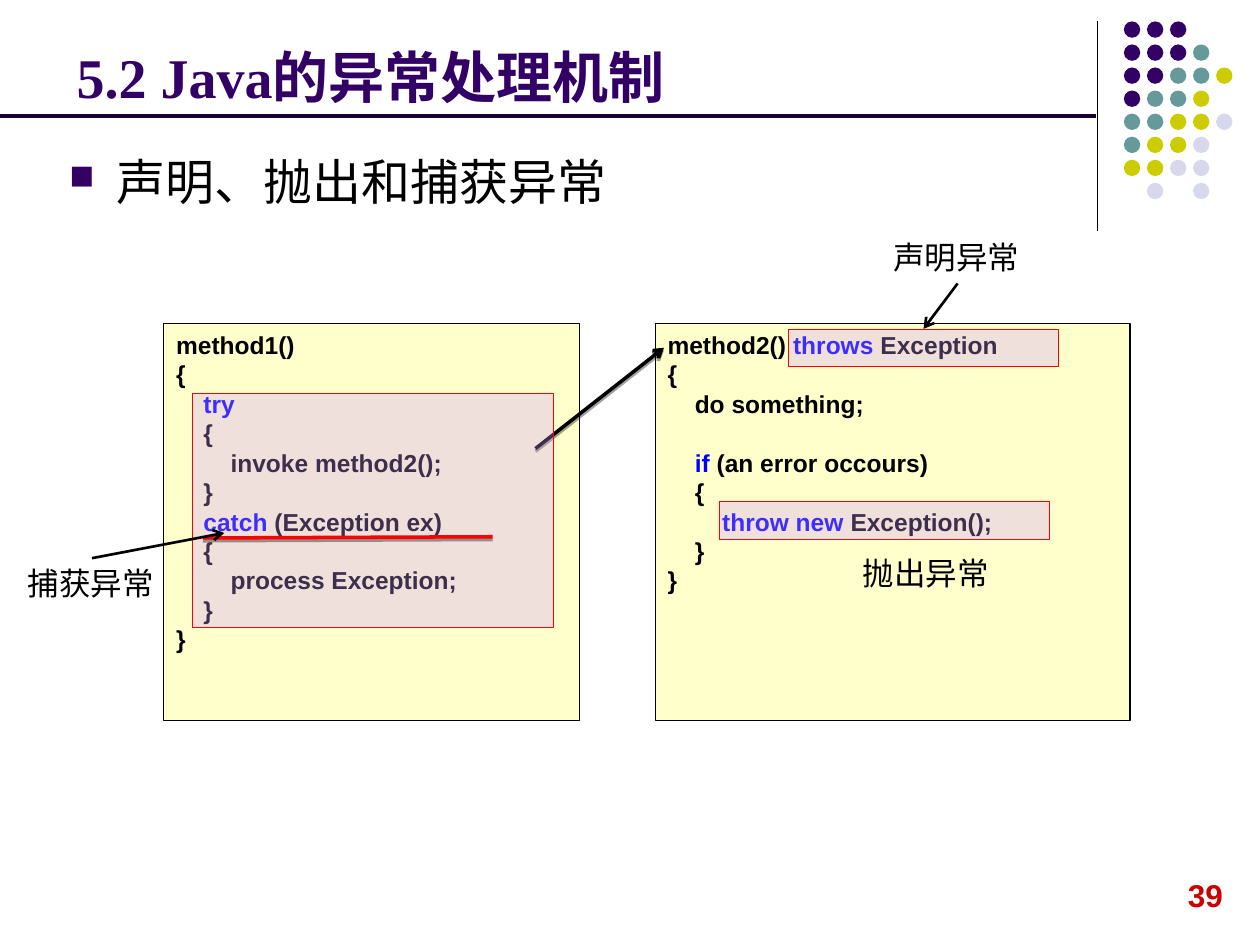
from lxml import etree
from pptx import Presentation
from pptx.dml.color import RGBColor
from pptx.enum.shapes import MSO_CONNECTOR, MSO_SHAPE
from pptx.enum.text import MSO_ANCHOR, PP_ALIGN
from pptx.oxml.ns import qn
from pptx.util import Inches, Pt

LINE = MSO_CONNECTOR.STRAIGHT
RECT = MSO_SHAPE.RECTANGLE
OVAL = MSO_SHAPE.OVAL
TOP, BOTTOM = MSO_ANCHOR.TOP, MSO_ANCHOR.BOTTOM
LEFT = PP_ALIGN.LEFT

COLORS = {
    "purple": "330066", "teal": "669999", "olive": "CCCC00", "lilac": "D8D8EC",
    "rule": "190033", "black": "000000", "red": "FF0000", "number": "CC0000",
    "keyword": "0000FF", "code": "FFFFCC", "highlight": "CD9BFF",
}
DOT_ROWS = ["PPP", "PPPT", "PPTTO", "PTTO", "TTOOL", "TOOL", "OOLL", " L L"]
DOT_COLORS = {"P": "purple", "T": "teal", "O": "olive", "L": "lilac"}

TITLE = {"size": Pt(32), "name": "Times New Roman", "bold": True}
TOPIC = {"size": Pt(28), "name": "Times New Roman"}
LABEL = {"size": Pt(18), "name": "Noto Sans CJK SC"}
NUMBER = {"size": Pt(18), "name": "Arial", "bold": True}
CODE = {"size": Pt(14), "name": "Arial", "bold": True}
CODE_PITCH = Pt(16.8)

METHOD1 = [
    ["method1()"], ["{"], ["    ", "*try"], ["    {"],
    ["        invoke method2();"], ["    }"],
    ["    ", "*catch", " (Exception ex)"], ["    {"],
    ["        process Exception;"], ["    }"], ["}"],
]
METHOD2 = [
    ["method2() ", "*throws", " Exception"], ["{"], ["    do something;"], [],
    ["    ", "*if ", "(an error occours)"], ["    {"],
    ["        ", "*throw new ", "Exception();"], ["    }"], ["}"],
]


def rgb(color):
    return RGBColor.from_string(COLORS[color])


def sub(parent, tag, **attrs):
    return etree.SubElement(parent, qn(tag), attrs)


def add_run(p, text, fmt, color):
    r = p.add_run()
    r.text = text
    for key, value in fmt.items():
        setattr(r.font, key, value)
    r.font.color.rgb = rgb(color)


def add_text(s, box, text, fmt, color="black", anchor=TOP, wrap=False):
    tf = s.shapes.add_textbox(*map(Inches, box)).text_frame
    tf.word_wrap = wrap
    tf.vertical_anchor = anchor
    add_run(tf.paragraphs[0], text, fmt, color)
    return tf.paragraphs[0]


def add_box(s, kind, box, fill, line=None, width=0.75, alpha=None):
    sp = s.shapes.add_shape(kind, *map(Inches, box))
    sp.shadow.inherit = False
    sp.fill.solid()
    sp.fill.fore_color.rgb = rgb(fill)
    if alpha:
        color = sp.fill._xPr.find(".//" + qn("a:srgbClr"))
        sub(color, "a:alpha", val=str(alpha * 1000))
    if line:
        sp.line.color.rgb = rgb(line)
        sp.line.width = Pt(width)
    else:
        sp.line.fill.background()
    return sp


def add_line(s, start, end, width, color="black", arrow=False, shadow=False):
    sp = s.shapes.add_connector(LINE, *map(Inches, start + end))
    sp.line.color.rgb = rgb(color)
    sp.line.width = Pt(width)
    if arrow:
        sub(sp.line._get_or_add_ln(), "a:tailEnd", type="arrow")
    effects = sub(sp._element.spPr, "a:effectLst")
    if shadow:
        shade = sub(effects, "a:outerShdw", dist=str(Pt(1.6)), dir="5400000",
                    rotWithShape="0")
        color = sub(shade, "a:srgbClr", val=COLORS["black"])
        sub(color, "a:alpha", val="37000")


def add_dots(s, left, top, pitch=0.183, size=0.13):
    for row, keys in enumerate(DOT_ROWS):
        for col, key in enumerate(keys):
            if key in DOT_COLORS:
                box = (left + col * pitch, top + row * pitch, size, size)
                add_box(s, OVAL, box, DOT_COLORS[key])


def add_topic(s, box, text):
    p = add_text(s, box, text, TOPIC, anchor=BOTTOM, wrap=True)
    pPr = p._p.get_or_add_pPr()
    pPr.set("marL", str(Inches(0.38)))
    pPr.set("indent", str(-Inches(0.38)))
    sub(sub(pPr, "a:buClr"), "a:srgbClr", val=COLORS["purple"])
    sub(pPr, "a:buSzPct", val="70000")
    sub(pPr, "a:buChar", char="■")


def add_code(s, box, lines):
    tf = add_box(s, RECT, box, "code", "black").text_frame
    tf.word_wrap = False
    tf.vertical_anchor = TOP
    p, gap = tf.paragraphs[0], 0
    for i, parts in enumerate(lines):
        if not parts:
            gap += CODE_PITCH
            continue
        if i:
            p = tf.add_paragraph()
        p.alignment = LEFT
        p.line_spacing = CODE_PITCH
        if gap:
            p.space_before = gap
            gap = 0
        for part in parts:
            color = "keyword" if part.startswith("*") else "black"
            add_run(p, part.lstrip("*"), CODE, color)


def add_highlight(s, box):
    add_box(s, RECT, box, "highlight", "red", 0.25, alpha=30)


def add_frame(s):
    add_line(s, (8.71, 0.17), (8.71, 1.83), 0.75)
    add_dots(s, 8.92, 0.17)
    add_text(s, (9.33, 6.9, 0.48, 0.4), "39", NUMBER, "number")
    add_line(s, (0, 0.92), (8.7, 0.92), 2.25, "rule")
    add_text(s, (0.51, 0.13, 8.25, 0.79), "5.2 Java的异常处理机制", TITLE,
             "purple", BOTTOM, True)
    add_topic(s, (0.45, 0.99, 8.25, 0.73), "声明、抛出和捕获异常")


def add_diagram(s):
    add_code(s, (1.3, 2.57, 3.3, 3.15), METHOD1)
    add_code(s, (5.2, 2.57, 3.77, 3.15), METHOD2)
    add_line(s, (4.25, 3.56), (5.27, 2.76), 2, arrow=True, shadow=True)
    add_highlight(s, (1.53, 3.12, 2.86, 1.86))
    add_line(s, (1.61, 4.27), (3.91, 4.26), 2, "red", shadow=True)
    add_highlight(s, (6.26, 2.61, 2.14, 0.3))
    add_highlight(s, (5.71, 3.98, 2.62, 0.3))
    for left, top, text in [(6.99, 1.84, "声明异常"), (6.75, 4.35, "抛出异常"),
                            (0.12, 4.43, "捕获异常")]:
        add_text(s, (left, top, 1.22, 0.4), text, LABEL)
    add_line(s, (7.6, 2.25), (7.33, 2.61), 1.5, arrow=True)
    add_line(s, (0.73, 4.43), (1.78, 4.23), 1.5, arrow=True)


def main():
    prs = Presentation()
    prs.slide_width, prs.slide_height = Inches(10), Inches(7.5)
    s = prs.slides.add_slide(prs.slide_layouts[6])
    add_frame(s)
    add_diagram(s)
    prs.save("out.pptx")


if __name__ == "__main__":
    main()
